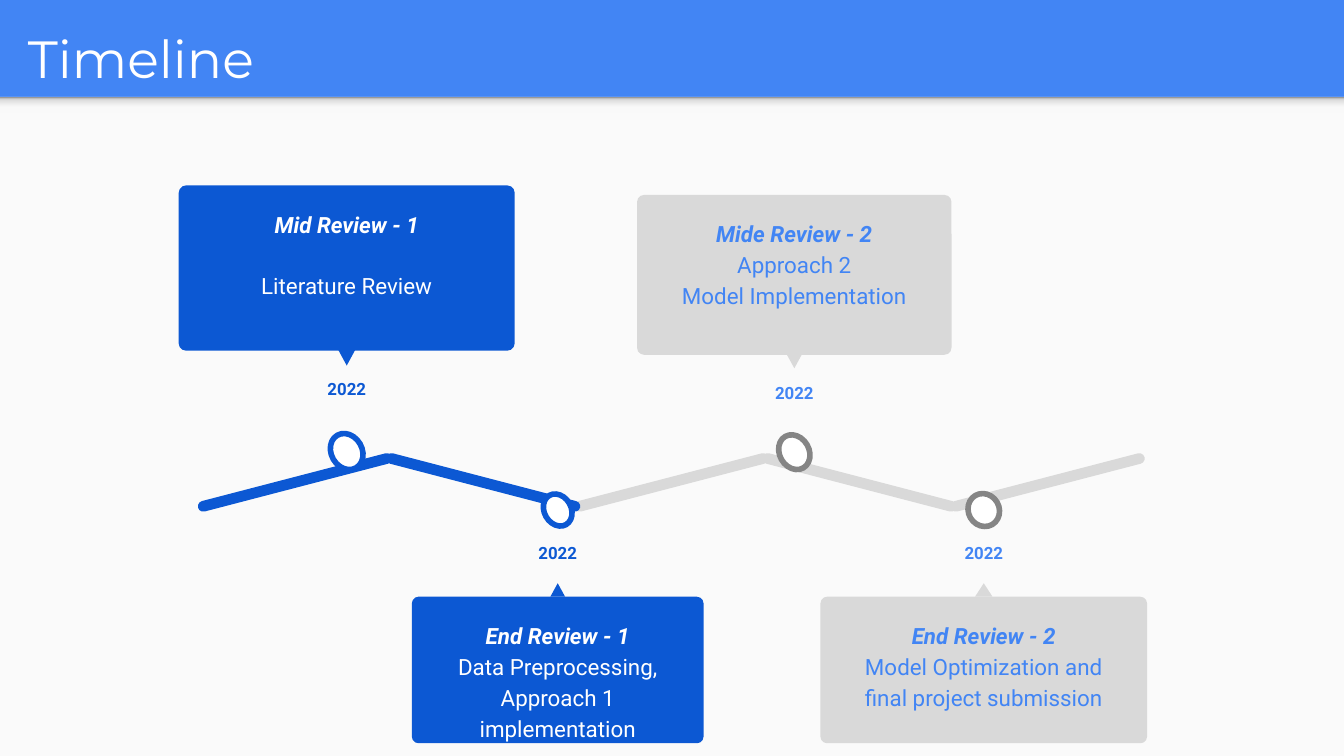
from copy import deepcopy
from dataclasses import dataclass

from pptx import Presentation
from pptx.dml.color import RGBColor
from pptx.enum.shapes import MSO_SHAPE
from pptx.enum.text import MSO_ANCHOR, PP_ALIGN
from pptx.oxml.ns import qn
from pptx.util import Inches, Pt

RECT = MSO_SHAPE.RECTANGLE
ROUND_RECT = MSO_SHAPE.ROUNDED_RECTANGLE
ELLIPSE = MSO_SHAPE.OVAL
TRIANGLE = MSO_SHAPE.ISOSCELES_TRIANGLE
LEFT, CENTER = PP_ALIGN.LEFT, PP_ALIGN.CENTER
TOP, MIDDLE = MSO_ANCHOR.TOP, MSO_ANCHOR.MIDDLE


@dataclass(frozen=True)
class Theme:
    accent: str = "4285F4"
    done: str = "0C58D3"
    pending: str = "D9D9D9"
    ring: str = "858585"
    paper: str = "FAFAFA"
    white: str = "FFFFFF"
    shade: tuple = ((0, "F9F9F9"), (0.36, "F9F9F9"), (0.8, "DEDEDE"), (1, "999999"))
    title_font: str = "Montserrat"
    body_font: str = "Roboto"
    title_size: float = 28
    body_size: float = 12
    year_size: float = 9


@dataclass(frozen=True)
class Review:
    heading: str
    lines: tuple
    done: bool
    above: bool
    center: float
    card: tuple      # top, width, height
    year_box: tuple  # width, height
    marker: tuple    # top, width, height
    pointer: tuple   # width, height
    gap: float = 0   # points around the body lines


REVIEWS = (
    Review("End Review - 2", ("Model Optimization and final project submission",),
           False, False, 7.32, (4.44, 2.43, 1.09), (0.99, 0.43),
           (3.67, 0.23, 0.25), (0.13, 0.10)),
    Review("Mide Review - 2", ("Approach 2", "Model Implementation"),
           False, True, 5.91, (1.45, 2.34, 1.19), (0.95, 0.47),
           (3.23, 0.22, 0.27), (0.12, 0.11)),
    Review("End Review - 1", ("Data Preprocessing, Approach 1 implementation",),
           True, False, 4.15, (4.44, 2.17, 1.09), (0.88, 0.43),
           (3.67, 0.20, 0.25), (0.11, 0.10)),
    Review("Mid Review - 1", ("Literature Review",),
           True, True, 2.58, (1.38, 2.50, 1.23), (1.02, 0.48),
           (3.22, 0.23, 0.28), (0.13, 0.12), gap=16),
)


def rgb(color):
    return RGBColor.from_string(color)


def add_text(tf, text, *, font, size, color, bold=False, italic=False,
             align=LEFT, spacing=1.0, before=0, after=0, first=True):
    p = tf.paragraphs[0] if first else tf.add_paragraph()
    p.alignment, p.line_spacing = align, spacing
    p.space_before, p.space_after = Pt(before), Pt(after)
    r = p.add_run()
    r.text = text
    r.font.name, r.font.size = font, Pt(size)
    r.font.bold, r.font.italic = bold, italic
    r.font.color.rgb = rgb(color)


class TimelineSlide:
    def __init__(self, slide, theme):
        self.s, self.theme = slide, theme
        self.shapes = slide.shapes

    def shape(self, kind, x, y, w, h, fill, line=None, rotation=0, adj=None):
        sp = self.shapes.add_shape(kind, Inches(x), Inches(y), Inches(w), Inches(h))
        sp.shadow.inherit = False
        sp.rotation = rotation
        sp.fill.solid()
        sp.fill.fore_color.rgb = rgb(fill)
        if line:
            sp.line.color.rgb, sp.line.width = rgb(line), Pt(3)
        else:
            sp.line.fill.background()
        if adj is not None:
            sp.adjustments[0] = adj
        return sp

    def text_frame(self, x, y, w, h, anchor=TOP):
        sp = self.shapes.add_textbox(Inches(x), Inches(y), Inches(w), Inches(h))
        tf = sp.text_frame
        tf.word_wrap, tf.vertical_anchor = True, anchor
        tf.margin_left = tf.margin_right = Inches(0.1)
        tf.margin_top = tf.margin_bottom = Inches(0.1)
        return tf

    def header(self, title):
        t = self.theme
        self.s.background.fill.solid()
        self.s.background.fill.fore_color.rgb = rgb(t.accent)
        self.shape(RECT, 0, 0.72, 10, 4.91, t.paper)
        # Soft shade under the header band
        sp = self.shape(RECT, 0, 0.72, 10, 0.12, t.paper)
        sp.fill.gradient()
        sp.fill.gradient_angle = 90
        stops = sp._element.spPr.find(".//" + qn("a:gsLst"))
        for _ in t.shade[2:]:
            stops.append(deepcopy(stops[0]))
        for stop, (position, color) in zip(sp.fill.gradient_stops, t.shade):
            stop.position, stop.color.rgb = position, rgb(color)
        tf = self.text_frame(0.11, 0.02, 9.65, 0.82, MIDDLE)
        add_text(tf, title, font=t.title_font, size=t.title_size, color=t.white)

    def track(self, count, done):
        for i in reversed(range(count)):
            self.shape(ROUND_RECT, 1.45 + 1.4 * i, 3.55, 1.49, 0.08,
                       self.theme.done if i < done else self.theme.pending,
                       rotation=14.6 if i % 2 else 345.4, adj=0.5)

    def review(self, v):
        t = self.theme
        fill, ring, ink, year_ink = (
            (t.done, t.done, t.white, t.done) if v.done
            else (t.pending, t.ring, t.accent, t.accent))
        top, w, h = v.card
        left, bottom = v.center - w / 2, top + h
        self.shapes = self.s.shapes.add_group_shape().shapes

        # Card and its pointer
        self.shape(ROUND_RECT, left, top, w, h, fill, adj=0.045)
        pw, ph = v.pointer
        self.shape(TRIANGLE, v.center - pw / 2, bottom - 0.01 if v.above else top - ph,
                   pw, ph, fill, rotation=180 if v.above else 0)

        # Card text
        style = dict(font=t.body_font, size=t.body_size, color=ink,
                     align=CENTER, spacing=1.15)
        tf = self.text_frame(left + 0.06, top + 0.06, w - 0.12, h - 0.13)
        add_text(tf, v.heading, bold=True, italic=True, **style)
        for line in v.lines:
            add_text(tf, line, before=v.gap, after=v.gap, first=False, **style)

        # Year and marker on the track
        yw, yh = v.year_box
        tf = self.text_frame(v.center - yw / 2, bottom + 0.1 if v.above else top - 0.51,
                             yw, yh)
        add_text(tf, "2022", font=t.body_font, size=t.year_size, color=year_ink,
                 bold=True, align=CENTER, spacing=1.15, after=16)
        my, mw, mh = v.marker
        self.shape(ELLIPSE, v.center - mw / 2, my, mw, mh, t.white,
                   line=ring, rotation=330.2)
        self.shapes = self.s.shapes


def main():
    prs = Presentation()
    # Widescreen, 16:9
    prs.slide_width, prs.slide_height = Inches(10), Inches(10 * 9 / 16)
    slide = TimelineSlide(prs.slides.add_slide(prs.slide_layouts[6]), Theme())
    slide.header("Timeline")
    slide.track(count=5, done=2)
    for review in REVIEWS:
        slide.review(review)
    prs.save("out.pptx")


if __name__ == "__main__":
    main()
